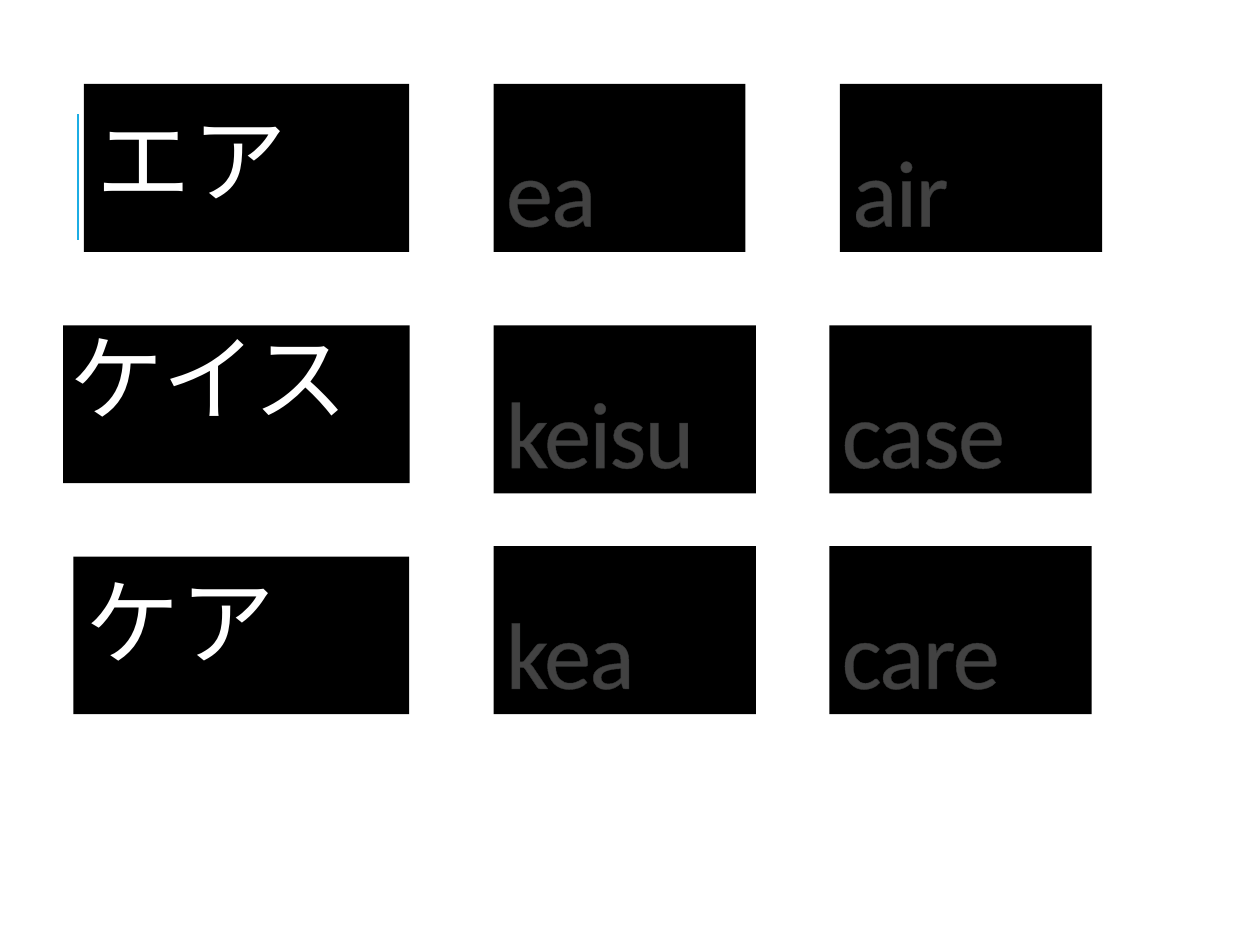
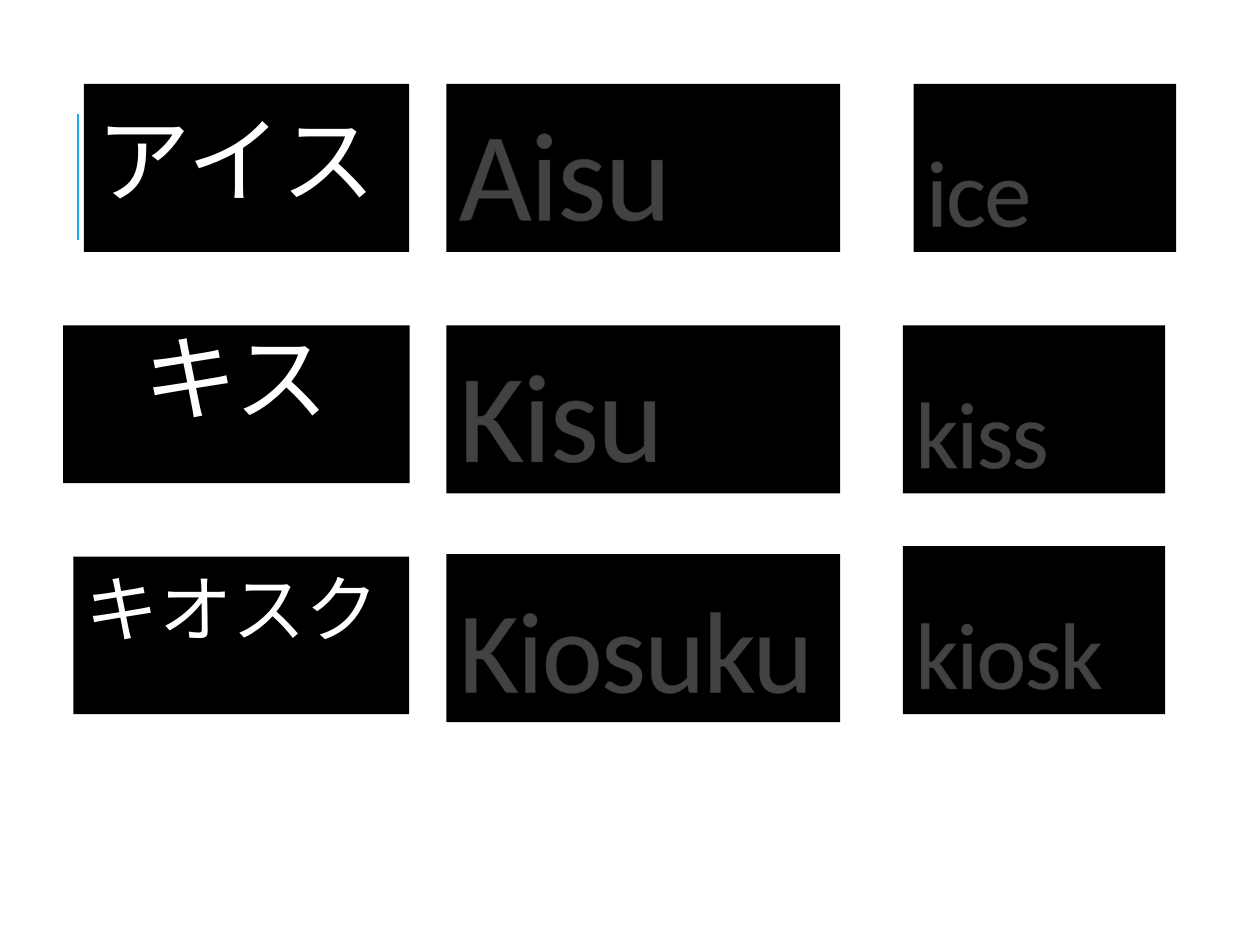
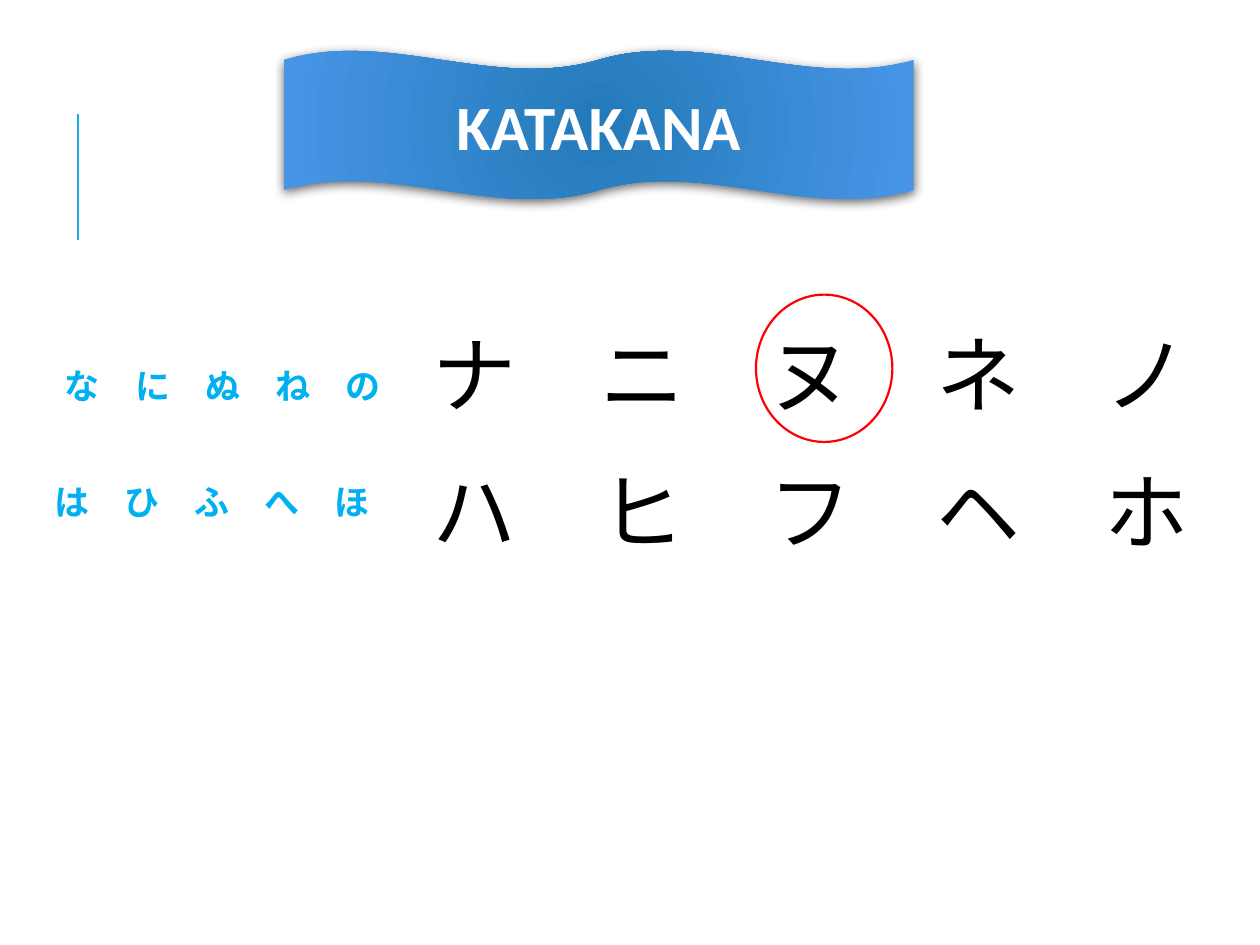
from typing import NamedTuple

from lxml import etree
from pptx import Presentation
from pptx.dml.color import RGBColor
from pptx.enum.shapes import MSO_CONNECTOR, MSO_SHAPE
from pptx.enum.text import MSO_ANCHOR, MSO_AUTO_SIZE, PP_ALIGN
from pptx.oxml.ns import qn
from pptx.util import Cm, Pt

RECT, OVAL, WAVE = MSO_SHAPE.RECTANGLE, MSO_SHAPE.OVAL, MSO_SHAPE.DOUBLE_WAVE
STRAIGHT = MSO_CONNECTOR.STRAIGHT
TOP, MIDDLE, BOTTOM = MSO_ANCHOR.TOP, MSO_ANCHOR.MIDDLE, MSO_ANCHOR.BOTTOM
LEFT, CENTER = PP_ALIGN.LEFT, PP_ALIGN.CENTER
NO_FIT = MSO_AUTO_SIZE.NONE

BLACK, WHITE, RED = "000000", "FFFFFF", "FF0000"
ACCENT, SKY, EDGE = "1CADE4", "00B0F0", "C5C8CA"
DEEP, LIGHT = "237AB8", "4895E7"
LATIN, KANA = "Calibri", "Noto Sans CJK JP"
GAP = "　"


class Box(NamedTuple):
    left: float
    top: float
    width: float
    height: float


class Style(NamedTuple):
    size: float
    color: str = WHITE
    font: str = LATIN
    bold: bool = False
    align: PP_ALIGN = LEFT
    anchor: MSO_ANCHOR = TOP
    inset: float = 0.25
    indent: float = 0
    line: float = 1.0
    track: int = 0
    edged: bool = False


class Card(NamedTuple):
    text: str
    box: Box
    size: float = 54


class Kana(NamedTuple):
    text: str
    size: float = 54
    align: PP_ALIGN = LEFT


class Line(NamedTuple):
    text: str
    box: Box
    style: Style


HEAD = Box(1.69, 1.69, 6.56, 3.39)
BODY = Box(1.27, 6.56, 6.99, 3.18)
THIRD = Box(1.48, 11.22, 6.77, 3.18)
ROWS = (1.69, 6.56, 11.01)
CARD_W, CARD_H, WIDE = 5.29, 3.39, 7.94

SMALL = Style(20, SKY, KANA, bold=True)
LARGE = Style(48, BLACK, KANA)


def tint(code: str) -> RGBColor:
    return RGBColor.from_string(code)


def add(parent, tag: str, **attrs):
    return etree.SubElement(parent, qn(tag), attrs)


def place(shape, box: Box) -> None:
    shape.left, shape.top, shape.width, shape.height = map(Cm, box)


def write(shape, text: str, style: Style) -> None:
    frame = shape.text_frame
    frame.word_wrap = True
    frame.auto_size = NO_FIT
    frame.vertical_anchor = style.anchor
    frame.margin_left = frame.margin_right = Cm(style.inset)
    frame.margin_top = frame.margin_bottom = Cm(min(style.inset, 0.13))
    para = frame.paragraphs[0]
    run = para.add_run()
    run.text = text
    para.alignment = style.align
    para.line_spacing = style.line
    para.space_before = para.space_after = Pt(0)
    props = para._p.get_or_add_pPr()
    props.set("marL", str(Cm(style.indent)))
    props.set("indent", str(-Cm(style.indent)))
    add(props, "a:buNone")
    font = para.font
    font.size, font.bold, font.name = Pt(style.size), style.bold, style.font
    font.color.rgb = tint(style.color)
    look = run._r.get_or_add_rPr()
    if style.track:
        look.set("spc", str(style.track))
    if style.edged:
        edge = add(look, "a:ln", w="3175")
        color = add(add(edge, "a:solidFill"), "a:srgbClr", val=EDGE)
        add(color, "a:alpha", val="25000")
    if style.font == KANA:
        add(look, "a:ea", typeface=KANA)


def paint(shape, color: str) -> None:
    shape.fill.solid()
    shape.fill.fore_color.rgb = tint(color)
    shape.line.fill.background()


def draw(slide, kind: MSO_SHAPE, box: Box):
    shape = slide.shapes.add_shape(kind, *map(Cm, box))
    shape.shadow.inherit = False
    return shape


def start(deck, layout: int):
    """Add a slide with the accent rule at its left."""
    slide = deck.slides.add_slide(deck.slide_layouts[layout])
    rule = slide.shapes.add_connector(
        STRAIGHT, Cm(1.57), Cm(4.83), Cm(1.57), Cm(2.29))
    rule.line.color.rgb = tint(ACCENT)
    rule.line.width = Pt(1.5)
    add(rule._element.spPr, "a:effectLst")
    return slide


def words(deck, kana: list[Kana], cards: list[Card]) -> None:
    """Build a slide of kana words with their readings and meanings."""
    slide = start(deck, 1)
    shapes = (slide.shapes.title, slide.placeholders[1],
              draw(slide, RECT, THIRD))
    styles = (Style(54, anchor=MIDDLE, line=0.8, track=100),
              Style(54, inset=0.13, indent=0.25, line=0.9),
              Style(54, indent=0.76))
    for shape, box, style, word in zip(shapes, (HEAD, BODY, THIRD), styles, kana):
        place(shape, box)
        paint(shape, BLACK)
        write(shape, word.text,
              style._replace(size=word.size, align=word.align))
    for card in cards:
        shape = draw(slide, RECT, card.box)
        paint(shape, BLACK)
        write(shape, card.text,
              Style(card.size, anchor=BOTTOM, track=-100, edged=True))


def banner(slide, text: str) -> None:
    shape = draw(slide, WAVE, Box(5.72, 1.02, 12.7, 3))
    shape.line.fill.background()
    shape.fill.background()
    props = shape._element.spPr
    grad = etree.Element(qn("a:gradFill"), rotWithShape="1")
    stops = add(grad, "a:gsLst")
    for pos, color in (("0", DEEP), ("100000", LIGHT)):
        add(add(stops, "a:gs", pos=pos), "a:srgbClr", val=color)
    add(add(grad, "a:path", path="circle"), "a:fillToRect",
        **dict.fromkeys("ltrb", "100000"))
    props.replace(props.find(qn("a:noFill")), grad)
    shade = add(props.find(qn("a:effectLst")), "a:outerShdw",
                blurRad=str(Pt(6)), dist=str(Pt(2)), dir="5400000",
                rotWithShape="0")
    add(add(shade, "a:srgbClr", val=BLACK), "a:alpha", val="60000")
    write(shape, text, Style(36, bold=True, align=CENTER, anchor=MIDDLE))


def chart(deck) -> None:
    """Build the slide that sets hiragana beside katakana."""
    slide = start(deck, 6)
    lines = (Line("なにぬねの", Box(1.06, 7.21, 7.83, 1.12), SMALL),
             Line("ナニヌネノ", Box(8.47, 6.38, 15.88, 2.31), LARGE),
             Line("はひふへほ", Box(0.85, 9.55, 7.83, 1.12), SMALL),
             Line("ハヒフヘホ", Box(8.47, 9.13, 15.88, 2.31), LARGE))
    for line in lines:
        shape = slide.shapes.add_textbox(*map(Cm, line.box))
        write(shape, GAP.join(line.text), line.style)
    ring = draw(slide, OVAL, Box(15.24, 5.94, 2.75, 2.97))
    ring.fill.background()
    ring.line.color.rgb = tint(RED)
    ring.line.width = Pt(1.25)
    banner(slide, "KATAKANA")


def main() -> None:
    deck = Presentation()
    deck.slide_width, deck.slide_height = Cm(25.4), Cm(19.05)
    one, two, three = ROWS
    words(deck, [Kana("エア"), Kana("ケイス"), Kana("ケア")], [
        Card("ea", Box(9.95, one, 5.08, CARD_H)),
        Card("keisu", Box(9.95, two, CARD_W, CARD_H)),
        Card("kea", Box(9.95, three, CARD_W, CARD_H)),
        Card("air", Box(16.93, one, CARD_W, CARD_H)),
        Card("case", Box(16.72, two, CARD_W, CARD_H)),
        Card("care", Box(16.72, three, CARD_W, CARD_H)),
    ])
    words(deck, [Kana("アイス"), Kana("キス", align=CENTER),
                 Kana("キオスク", 41.9)], [
        Card("Aisu", Box(9, one, WIDE, CARD_H), 72),
        Card("Kisu", Box(9, two, WIDE, CARD_H), 72),
        Card("Kiosuku", Box(9, 11.17, WIDE, CARD_H), 66),
        Card("ice", Box(18.42, one, CARD_W, CARD_H)),
        Card("kiss", Box(18.2, two, CARD_W, CARD_H)),
        Card("kiosk", Box(18.2, three, CARD_W, CARD_H)),
    ])
    chart(deck)
    for shape in list(deck.slides[2].placeholders):
        shape._element.getparent().remove(shape._element)
    deck.save("out.pptx")


if __name__ == "__main__":
    main()
